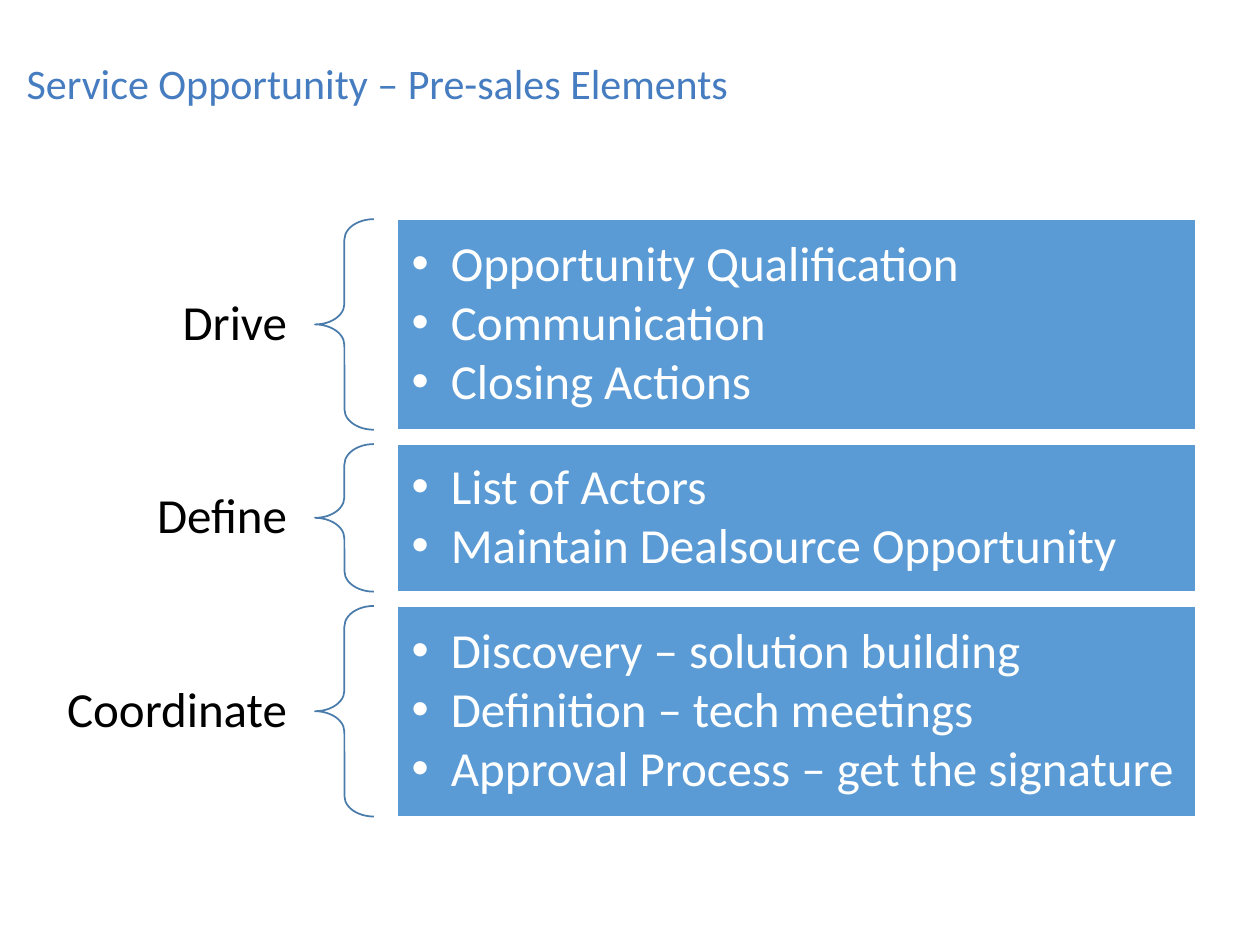
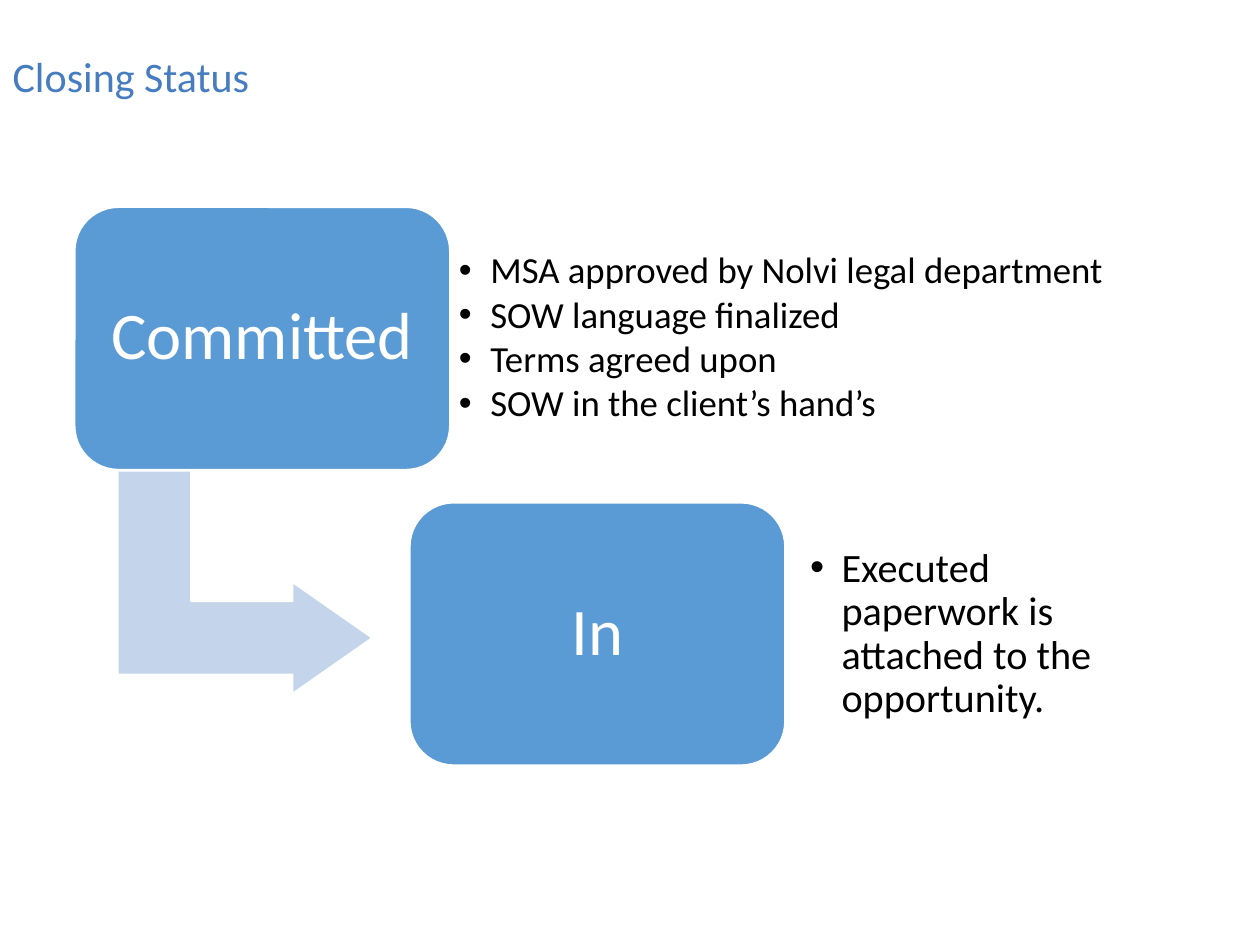
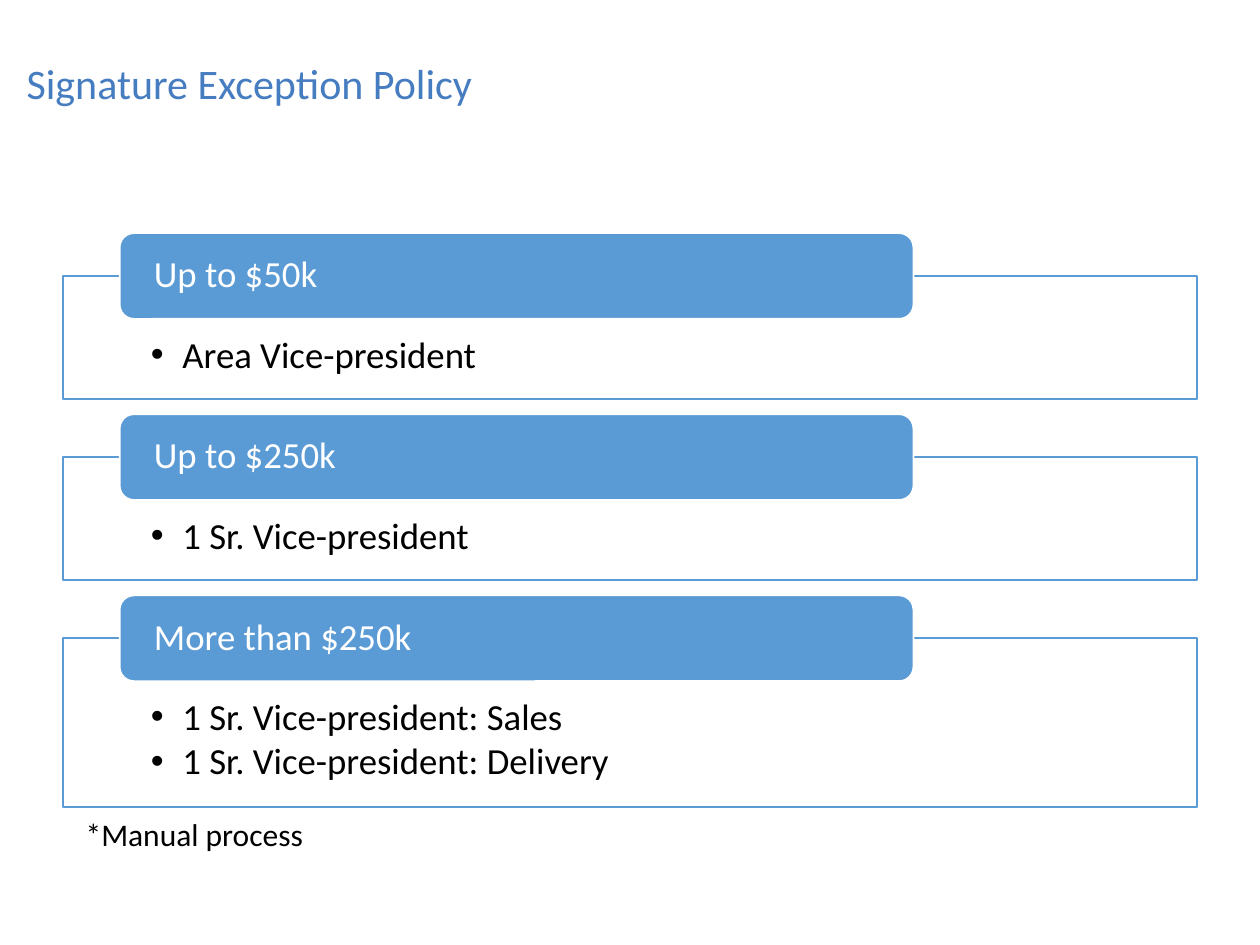
from pptx import Presentation
from pptx.dml.color import RGBColor
from pptx.enum.shapes import MSO_SHAPE
from pptx.enum.text import MSO_ANCHOR, MSO_AUTO_SIZE, PP_ALIGN
from pptx.oxml.ns import qn
from pptx.util import Pt
from lxml import etree

RECT, ROUNDED = MSO_SHAPE.RECTANGLE, MSO_SHAPE.ROUNDED_RECTANGLE
BRACE, BENT_ARROW = MSO_SHAPE.LEFT_BRACE, MSO_SHAPE.BENT_UP_ARROW
TOP, MIDDLE = MSO_ANCHOR.TOP, MSO_ANCHOR.MIDDLE
LEFT, CENTER, RIGHT = PP_ALIGN.LEFT, PP_ALIGN.CENTER, PP_ALIGN.RIGHT
NO_FIT = MSO_AUTO_SIZE.NONE

FONT = "Calibri"
COLORS = {"title": "467CC0", "block": "5B9BD5", "arrow": "C4D5EB",
          "brace": "497CAB", "white": "FFFFFF", "black": "000000"}
TITLE_ONLY = 5
TITLE_BOX = (8, 18, 524, 62.5)


def rgb(name):
    return RGBColor.from_string(COLORS[name])


def write_text(frame, lines, size=21, color="black", align=LEFT, anchor=MIDDLE,
               insets=(7.2, 3.6, 7.2, 3.6), hanging=0, spacing=0.9, wrap=True):
    """Fill a text frame, one paragraph a line; a hanging indent adds bullets."""
    frame.auto_size = NO_FIT
    frame.word_wrap = wrap
    frame.vertical_anchor = anchor
    (frame.margin_left, frame.margin_top,
     frame.margin_right, frame.margin_bottom) = map(Pt, insets)
    for i, line in enumerate(lines):
        paragraph = frame.add_paragraph() if i else frame.paragraphs[0]
        paragraph.alignment = align
        paragraph.line_spacing = spacing
        run = paragraph.add_run()
        run.text = line
        run.font.name = FONT
        run.font.size = Pt(size)
        run.font.color.rgb = rgb(color)
        if hanging:
            paragraph.space_after = Pt(round(size * 0.126, 1))
            add_bullet(paragraph, hanging)


def add_bullet(paragraph, hanging):
    properties = paragraph._p.get_or_add_pPr()
    properties.set("marL", str(Pt(hanging)))
    properties.set("indent", str(-Pt(hanging)))
    etree.SubElement(properties, qn("a:buFont")).set("typeface", "Arial")
    etree.SubElement(properties, qn("a:buChar")).set("char", "•")


def add_titled_slide(prs, title, box=TITLE_BOX):
    slide = prs.slides.add_slide(prs.slide_layouts[TITLE_ONLY])
    heading = slide.shapes.title
    heading.left, heading.top, heading.width, heading.height = map(Pt, box)
    write_text(heading.text_frame, [title], size=24, color="title")
    return slide


def add_block(slide, kind, box, fill="block", line="white", adjustments=(), opacity=100):
    block = slide.shapes.add_shape(kind, *map(Pt, box))
    block.shadow.inherit = False
    for i, value in enumerate(adjustments):
        block.adjustments[i] = value
    if fill:
        block.fill.solid()
        block.fill.fore_color.rgb = rgb(fill)
    else:
        block.fill.background()
    if opacity < 100:
        color = block._element.spPr.find(qn("a:solidFill"))[0]
        etree.SubElement(color, qn("a:alpha")).set("val", str(opacity * 1000))
    block.line.color.rgb = rgb(line)
    block.line.width = Pt(1)
    return block


def add_label(slide, box, lines, **text_format):
    label = slide.shapes.add_textbox(*map(Pt, box))
    write_text(label.text_frame, lines, **text_format)


def add_braced_group(slide, top, height, verb, elements):
    add_label(slide, (12, top + height / 2 - 22, 168, 44), [verb], size=28,
              align=RIGHT, insets=(16, 5.7, 16, 5.7))
    add_block(slide, BRACE, (180, top, 33.6, height), fill=None, line="brace",
              adjustments=(0.35, 0.5))
    block = add_block(slide, RECT, (226.8, top, 456.6, height))
    write_text(block.text_frame, elements, size=28, color="white",
               insets=(8.4,) * 4, hanging=22.5)


def add_stage(slide, left, top, stage):
    block = add_block(slide, ROUNDED, (left, top, 214.4, 150), adjustments=(0.167,))
    write_text(block.text_frame, [stage], size=38, color="white", align=CENTER,
               insets=(11.4,) * 4)


def add_policy(slide, top, height, limit, signers):
    frame = add_block(slide, RECT, (36, top, 648, height), fill="white",
                      line="block", opacity=90)
    write_text(frame.text_frame, signers, anchor=TOP,
               insets=(50.3, 34.6, 50.3, 11.5), hanging=18)
    tab = add_block(slide, ROUNDED, (68.4, top - 24.4, 453.6, 49))
    write_text(tab.text_frame, [limit], color="white", insets=(17.2, 0, 17.2, 0))


def build_presales(prs):
    slide = add_titled_slide(prs, "Service Opportunity – Pre-sales Elements")
    groups = {
        "Drive": ["Opportunity Qualification", "Communication", "Closing Actions"],
        "Define": ["List of Actors", "Maintain Dealsource Opportunity"],
        "Coordinate": ["Discovery – solution building", "Definition – tech meetings",
                       "Approval Process – get the signature"],
    }
    top, gap = 125.3, 8.2
    for verb, elements in groups.items():
        height = 12.3 + 36 * len(elements)
        add_braced_group(slide, top, height, verb, elements)
        top += height + gap


def build_closing(prs):
    slide = add_titled_slide(prs, "Closing Status", box=(0, 0, 720, 90))
    arrow = add_block(slide, BENT_ARROW, (76.3, 260, 127.4, 145.4), fill="arrow",
                      adjustments=(0.328, 0.25, 0.358))
    arrow.rotation = 90
    add_stage(slide, 42.7, 118.4, "Committed")
    add_label(slide, (254.2, 132.5, 435.6, 121.7),
              ["MSA approved by Nolvi legal department", "SOW language finalized",
               "Terms agreed upon", "SOW in the client’s hand’s"],
              insets=(8,) * 4, hanging=18)
    add_stage(slide, 234.2, 287.3, "In")
    add_label(slide, (454.3, 301.7, 218.9, 121.7),
              ["Executed paperwork is attached to the opportunity."],
              size=23, insets=(8.6,) * 4, hanging=18)


def build_signatures(prs):
    slide = add_titled_slide(prs, "Signature Exception Policy")
    policies = {
        "Up to $50k": ["Area Vice-president"],
        "Up to $250k": ["1 Sr. Vice-president"],
        "More than $250k": ["1 Sr. Vice-president: Sales",
                            "1 Sr. Vice-president: Delivery"],
    }
    top, gap = 157.6, 33
    for limit, signers in policies.items():
        height = 44.6 + 25.9 * len(signers)
        add_policy(slide, top, height, limit, signers)
        top += height + gap
    add_label(slide, (41.8, 462.2, 140.4, 29), ["*Manual process"], size=18,
              anchor=TOP, spacing=1.0, wrap=False)


def main():
    prs = Presentation()
    prs.slide_width, prs.slide_height = Pt(720), Pt(540)
    build_presales(prs)
    build_closing(prs)
    build_signatures(prs)
    prs.save("out.pptx")


if __name__ == "__main__":
    main()
